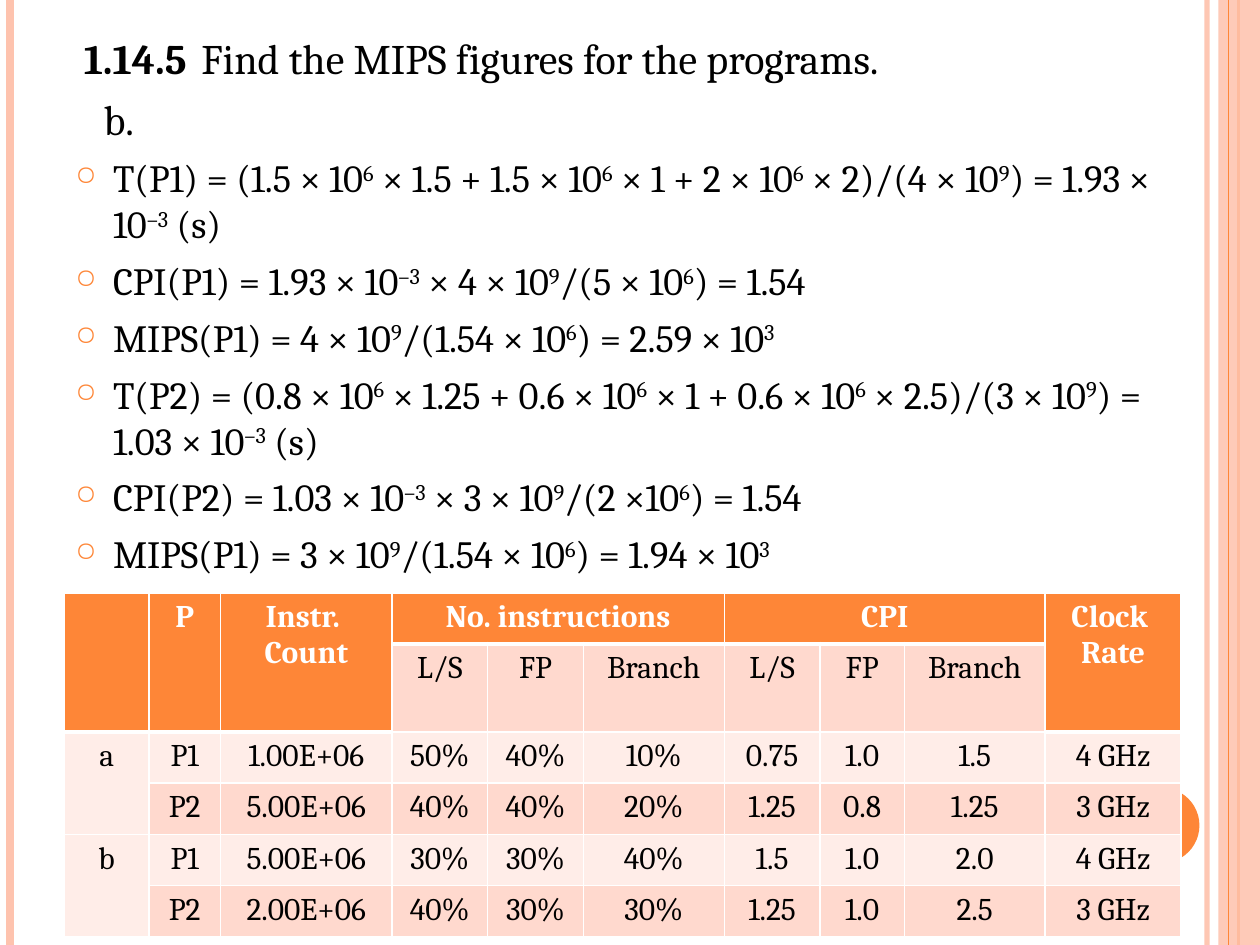
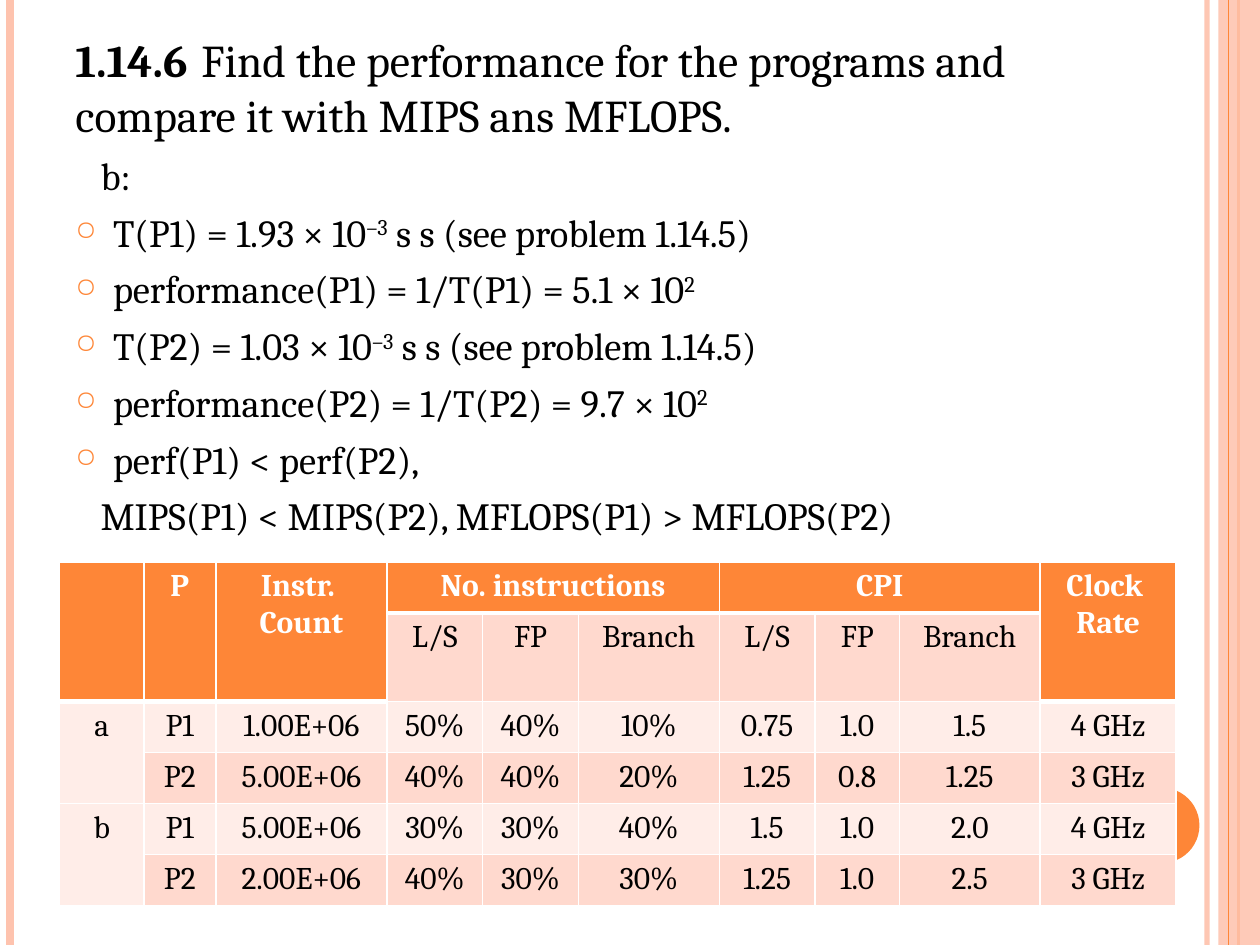
from lxml.etree import SubElement
from pptx import Presentation
from pptx.dml.color import RGBColor
from pptx.enum.shapes import MSO_CONNECTOR, MSO_SHAPE
from pptx.enum.text import PP_ALIGN
from pptx.oxml.ns import qn
from pptx.util import Cm, Pt

ORANGE = RGBColor(0xFE, 0x86, 0x37)
PEACH = RGBColor(0xFE, 0xC3, 0xAE)
BAND_DARK = RGBColor(0xFF, 0xD9, 0xCE)
BAND_LIGHT = RGBColor(0xFF, 0xED, 0xE8)
WHITE = RGBColor(0xFF, 0xFF, 0xFF)
BLACK = RGBColor(0, 0, 0)
FONT = "Cambria"
SLIDE_W, SLIDE_H = Cm(25.4), Cm(19.05)

# Table content; None marks a cell covered by a merge
COLUMN_WIDTHS = [1.7, 1.45, 3.45, 1.93, 1.93, 2.84, 1.93, 1.7, 2.84, 2.74]
ROW_HEIGHT = 1.03
ROWS = [
    ["", "P", "Instr. \nCount", "No. instructions", None, None,
     "CPI", None, None, "Clock \nRate"],
    [None, None, None, "L/S", "FP", "Branch", "L/S", "FP", "Branch", None],
    ["a", "P1", "1.00E+06", "50%", "40%", "10%", "0.75", "1.0", "1.5", "4 GHz"],
    [None, "P2", "5.00E+06", "40%", "40%", "20%", "1.25", "0.8", "1.25", "3 GHz"],
    ["b", "P1", "5.00E+06", "30%", "30%", "40%", "1.5", "1.0", "2.0", "4 GHz"],
    [None, "P2", "2.00E+06", "40%", "30%", "30%", "1.25", "1.0", "2.5", "3 GHz"],
]
MERGES = [((0, c), (1, c)) for c in (0, 1, 2, 9)]
MERGES += [((0, c), (0, c + 2)) for c in (3, 6)]
MERGES += [((r, 0), (r + 1, 0)) for r in (2, 4)]

# Text between carets is superscript
MIPS_STEPS = [
    "T(P1) = (1.5 × 10^6^ × 1.5 + 1.5 × 10^6^ × 1 + 2 × 10^6^ × 2)/(4 × 10^9^)"
    " = 1.93 × 10^–3^ (s)",
    "CPI(P1) = 1.93 × 10^–3^ × 4 × 10^9^/(5 × 10^6^) = 1.54",
    "MIPS(P1) = 4 × 10^9^/(1.54 × 10^6^) = 2.59 × 10^3^",
    "T(P2) = (0.8 × 10^6^ × 1.25 + 0.6 × 10^6^ × 1 + 0.6 × 10^6^ × 2.5)/(3 × 10^9^)"
    " = 1.03 × 10^–3^ (s)",
    "CPI(P2) = 1.03 × 10^–3^ × 3 × 10^9^/(2 ×10^6^) = 1.54",
    "MIPS(P1) = 3 × 10^9^/(1.54 × 10^6^) = 1.94 × 10^3^",
]
PERFORMANCE_STEPS = [
    "T(P1) = 1.93 × 10^–3^ s s (see problem 1.14.5)",
    "performance(P1) = 1/T(P1) = 5.1 × 10^2^",
    "T(P2) = 1.03 × 10^–3^ s s (see problem 1.14.5)",
    "performance(P2) = 1/T(P2) = 9.7 × 10^2^",
    "perf(P1) < perf(P2),",
]


def set_alpha(fill_parent, percent):
    color = fill_parent.find(".//" + qn("a:srgbClr"))
    SubElement(color, qn("a:alpha"), val=str(percent * 1000))


# Shared slide decoration
def add_rule(s, x, color, width, alpha=100):
    line = s.shapes.add_connector(MSO_CONNECTOR.STRAIGHT, Cm(x), 0, Cm(x), SLIDE_H)
    line.line.color.rgb = color
    line.line.width = Pt(width)
    spPr = line._element.spPr
    if alpha < 100:
        set_alpha(spPr, alpha)
    SubElement(spPr, qn("a:effectLst"))


def add_filled(s, kind, x, y, w, h, color, alpha=100):
    sp = s.shapes.add_shape(kind, Cm(x), Cm(y), Cm(w), Cm(h))
    sp.shadow.inherit = False
    sp.fill.solid()
    sp.fill.fore_color.rgb = color
    sp.line.fill.background()
    if alpha < 100:
        set_alpha(sp._element.spPr, alpha)


def add_decorated_slide(prs):
    s = prs.slides.add_slide(prs.slide_layouts[6])
    add_rule(s, 24.33, PEACH, 3, 93)
    add_rule(s, 0.2, PEACH, 4.5)
    add_rule(s, 24.97, ORANGE, 1.5)
    add_filled(s, MSO_SHAPE.RECTANGLE, 24.56, 0, 0.84, 19.05, PEACH, 87)
    add_rule(s, 24.77, ORANGE, 0.75)
    add_filled(s, MSO_SHAPE.OVAL, 22.66, 15.88, 1.52, 1.52, ORANGE)
    return s


# Body text
def add_body(s, width):
    box = s.shapes.add_textbox(Cm(1.27), Cm(0.53), Cm(width), Cm(17.45))
    box.text_frame.word_wrap = True
    return box.text_frame


def add_run(p, text, size, bold=False, superscript=False):
    r = p.add_run()
    r.text = text
    r.font.name, r.font.size, r.font.bold = FONT, Pt(size), bold
    r.font.color.rgb = BLACK
    if superscript:
        r._r.get_or_add_rPr().set("baseline", "30000")


def add_title(tf, number, question, size, indent=0):
    p = tf.paragraphs[0]
    pPr = p._p.get_or_add_pPr()
    pPr.set("indent", str(Cm(indent)))
    tabs = SubElement(pPr, qn("a:tabLst"))
    SubElement(tabs, qn("a:tab"), pos=str(Cm(2.65)), algn="l")
    add_run(p, number, size, bold=True)
    add_run(p, "\t" + question, size)


def add_line(tf, text, size=22, indent=0.51):
    p = tf.add_paragraph()
    p._p.get_or_add_pPr().set("indent", str(Cm(indent)))
    p.space_before = Pt(6)
    for i, part in enumerate(text.split("^")):
        if part:
            add_run(p, part, size, superscript=i % 2 == 1)
    return p


def add_bullets(tf, steps):
    for step in steps:
        pPr = add_line(tf, step, indent=-0.76)._p.pPr
        pPr.set("marL", str(Cm(0.76)))
        color = SubElement(pPr, qn("a:buClr"))
        SubElement(color, qn("a:srgbClr"), val=str(ORANGE))
        SubElement(pPr, qn("a:buSzPct"), val="70000")
        SubElement(pPr, qn("a:buChar"), char="○")


# Program table
def add_border(cell, side, width):
    ln = SubElement(cell._tc.get_or_add_tcPr(), qn("a:" + side), w=str(Pt(width)))
    fill = SubElement(ln, qn("a:solidFill"))
    SubElement(fill, qn("a:srgbClr"), val=str(WHITE))


def format_cell(cell, text, row, col):
    header = row == 0 or (row == 1 and text is None)
    add_border(cell, "lnL", 1)
    add_border(cell, "lnR", 1)
    if row == 0:
        add_border(cell, "lnT", 1)
    add_border(cell, "lnB", 3 if header else 1)
    cell.fill.solid()
    light = row % 2 == 0 or col == 0
    cell.fill.fore_color.rgb = ORANGE if header else BAND_LIGHT if light else BAND_DARK
    if not text:
        return
    cell.text_frame.text = text
    for p in cell.text_frame.paragraphs:
        p.alignment = PP_ALIGN.CENTER
        for r in p.runs:
            r.font.name, r.font.size, r.font.bold = FONT, Pt(18), header
            r.font.color.rgb = WHITE if header else BLACK


def add_program_table(s, x, y):
    frame = s.shapes.add_table(len(ROWS), len(COLUMN_WIDTHS), Cm(x), Cm(y),
                               Cm(sum(COLUMN_WIDTHS)), Cm(ROW_HEIGHT * len(ROWS)))
    table = frame.table
    table.first_row = table.horz_banding = False
    for column, width in zip(table.columns, COLUMN_WIDTHS):
        column.width = Cm(width)
    for i, texts in enumerate(ROWS):
        table.rows[i].height = Cm(ROW_HEIGHT)
        for j, text in enumerate(texts):
            format_cell(table.cell(i, j), text, i, j)
    for first, last in MERGES:
        table.cell(*first).merge(table.cell(*last))


def main():
    prs = Presentation()
    prs.slide_width, prs.slide_height = SLIDE_W, SLIDE_H

    # MIPS figures
    s = add_decorated_slide(prs)
    tf = add_body(s, 22.23)
    add_title(tf, "1.14.5", "Find the MIPS figures for the programs.", 24, 0.17)
    add_line(tf, "b.", 24, 0.57)
    add_bullets(tf, MIPS_STEPS)
    add_program_table(s, 1.3, 11.95)

    # Performance comparison
    s = add_decorated_slide(prs)
    tf = add_body(s, 21.64)
    add_title(tf, "1.14.6", "Find the performance for the programs and "
              "compare it with MIPS ans MFLOPS.", 26)
    add_line(tf, "b:")
    add_bullets(tf, PERFORMANCE_STEPS)
    add_line(tf, "MIPS(P1) < MIPS(P2), MFLOPS(P1) > MFLOPS(P2)")
    add_program_table(s, 1.2, 11.33)

    prs.save("out.pptx")


if __name__ == "__main__":
    main()
